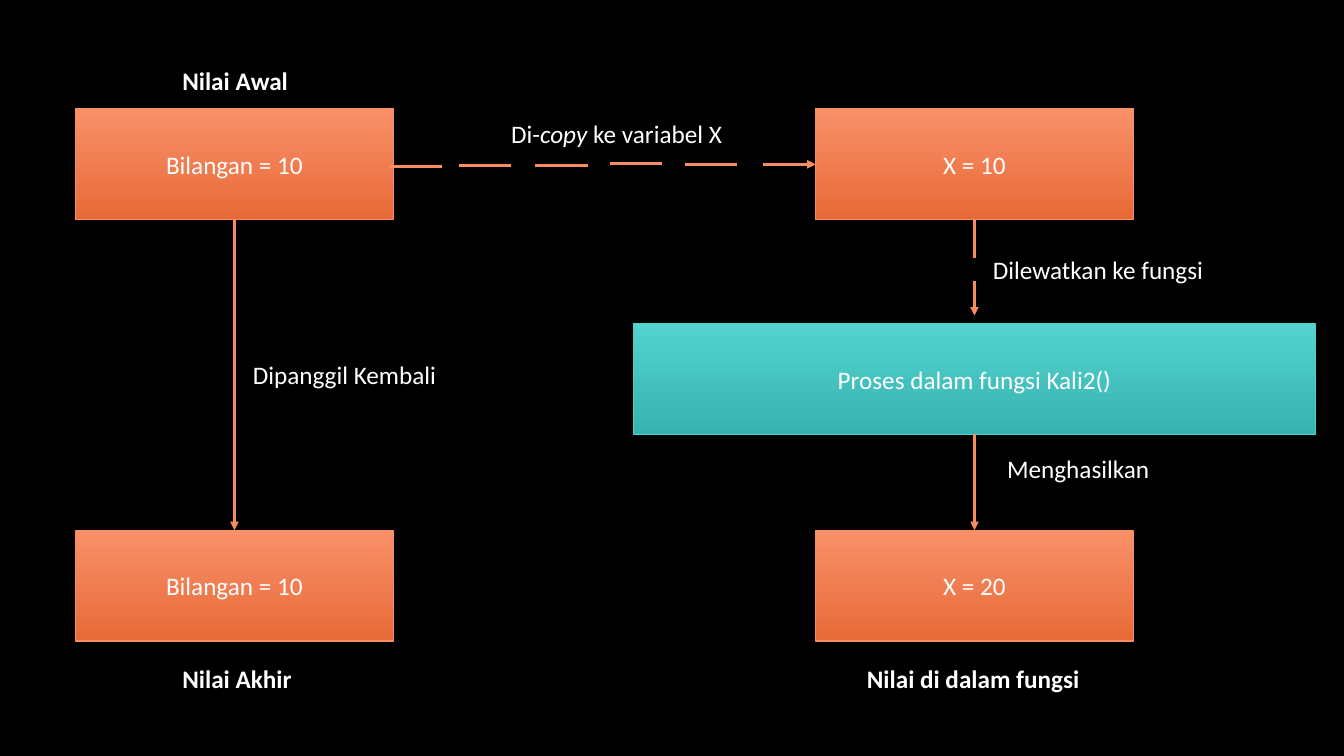
"""Build the flow diagram of passing a value to the function Kali2()."""
from dataclasses import dataclass
from typing import Optional

from lxml.etree import SubElement
from pptx import Presentation
from pptx.dml.color import RGBColor
from pptx.enum.shapes import MSO_CONNECTOR, MSO_SHAPE
from pptx.enum.text import MSO_ANCHOR, MSO_AUTO_SIZE, PP_ALIGN
from pptx.oxml.ns import qn
from pptx.shapes.autoshape import Shape
from pptx.slide import Slide
from pptx.text.text import TextFrame
from pptx.util import Inches, Pt

COLORS = {
    "background": "000000",
    "text": "FFFFFF",
    "orange_top": "F99068",
    "orange_bottom": "E76A39",
    "orange_line": "F98C61",
    "teal_top": "53D2CE",
    "teal_bottom": "37B3B0",
    "teal_line": "49D1CD",
}
TOP, LEFT, BOTTOM = 0, 1, 2
BOX_WIDTH, BOX_HEIGHT = 3.15, 1.1
LABEL_HEIGHT = 0.4
LEFT_COLUMN, RIGHT_COLUMN = 0.75, 8.09
LEFT_CENTER = LEFT_COLUMN + BOX_WIDTH / 2
RIGHT_CENTER = RIGHT_COLUMN + BOX_WIDTH / 2
FIRST_ROW, PROCESS_ROW, LAST_ROW = 1.08, 3.21, 5.26
DASH_LENGTH = 0.52


@dataclass
class Box:
    key: str
    text: str
    left: float
    top: float
    width: float = BOX_WIDTH
    palette: str = "orange"


@dataclass
class Label:
    runs: tuple[str, ...]
    left: float
    top: float
    width: float
    bold: bool = False
    italic_run: Optional[int] = None


@dataclass
class Link:
    start: tuple[float, float]
    end: tuple[float, float]
    begin: Optional[tuple[str, int]] = None
    finish: Optional[tuple[str, int]] = None
    arrow: bool = False


BOXES = [
    Box("initial", "Bilangan = 10", LEFT_COLUMN, FIRST_ROW),
    Box("copied", "X = 10", RIGHT_COLUMN, FIRST_ROW),
    Box("final", "Bilangan = 10", LEFT_COLUMN, LAST_ROW),
    Box("result", "X = 20", RIGHT_COLUMN, LAST_ROW),
    Box("process", "Proses dalam fungsi Kali2()", 6.28, PROCESS_ROW, 6.77, "teal"),
]
COPY_DASHES = [(3.86, 1.65), (4.55, 1.64), (5.31, 1.64), (6.05, 1.62), (6.79, 1.63)]
LINKS = [
    Link((LEFT_CENTER, FIRST_ROW + BOX_HEIGHT), (LEFT_CENTER, LAST_ROW),
         ("initial", BOTTOM), ("final", TOP), True),
    Link((RIGHT_CENTER, PROCESS_ROW + BOX_HEIGHT), (RIGHT_CENTER, LAST_ROW),
         ("process", BOTTOM), ("result", TOP), True),
    Link((7.57, 1.63), (RIGHT_COLUMN, 1.63), finish=("copied", LEFT), arrow=True),
    *(Link((left, top), (left + DASH_LENGTH, top)) for left, top in COPY_DASHES),
    Link((RIGHT_CENTER, FIRST_ROW + BOX_HEIGHT), (RIGHT_CENTER, 2.56), begin=("copied", BOTTOM)),
    Link((RIGHT_CENTER, 2.79), (RIGHT_CENTER, 3.13), arrow=True),
]
LABELS = [
    Label(("Nilai Awal",), 1.71, 0.6, 1.26, bold=True),
    Label(("Nilai Akhir",), 1.71, 6.53, 1.29, bold=True),
    Label(("Dipanggil Kembali",), 2.41, 3.52, 2.04),
    Label(("Dilewatkan ke fungsi",), 9.75, 2.47, 2.31),
    Label(("Menghasilkan",), 9.89, 4.45, 1.63),
    Label(("Nilai di dalam fungsi",), 8.5, 6.53, 2.33, bold=True),
    Label(("Di-", "copy", " ke variabel X"), 4.97, 1.12, 2.32, italic_run=1),
]


def color(name: str) -> RGBColor:
    """Return the named colour."""
    return RGBColor.from_string(COLORS[name])


def write_text(frame: TextFrame, *runs: str, align: PP_ALIGN = PP_ALIGN.LEFT,
               bold: bool = False, italic_run: Optional[int] = None) -> None:
    """Fill the frame with one formatted paragraph."""
    paragraph = frame.paragraphs[0]
    paragraph.alignment = align
    for index, text in enumerate(runs):
        run = paragraph.add_run()
        run.text = text
        run.font.name = "Calibri"
        run.font.size = Pt(18)
        run.font.bold = bold
        run.font.italic = index == italic_run
        run.font.color.rgb = color("text")


def draw_box(slide: Slide, box: Box) -> Shape:
    """Draw a rectangle with a vertical gradient and centred text."""
    shape = slide.shapes.add_shape(
        MSO_SHAPE.RECTANGLE, Inches(box.left), Inches(box.top),
        Inches(box.width), Inches(BOX_HEIGHT))
    shape.shadow.inherit = False
    shape.fill.gradient()
    shape.fill.gradient_angle = 270
    for stop, end in zip(shape.fill.gradient_stops, ("top", "bottom")):
        stop.color.rgb = color(f"{box.palette}_{end}")
    shape.line.color.rgb = color(f"{box.palette}_line")
    shape.line.width = Pt(0.75)
    shape.text_frame.vertical_anchor = MSO_ANCHOR.MIDDLE
    write_text(shape.text_frame, box.text, align=PP_ALIGN.CENTER)
    return shape


def draw_link(slide: Slide, link: Link, shapes: dict[str, Shape]) -> None:
    """Draw a straight connector and join it to its boxes."""
    connector = slide.shapes.add_connector(
        MSO_CONNECTOR.STRAIGHT, *(Inches(value) for value in link.start + link.end))
    if link.begin:
        connector.begin_connect(shapes[link.begin[0]], link.begin[1])
    if link.finish:
        connector.end_connect(shapes[link.finish[0]], link.finish[1])
    connector.line.color.rgb = color("orange_line")
    connector.line.width = Pt(2)
    properties = connector._element.spPr
    if link.arrow:
        SubElement(properties.find(qn("a:ln")), qn("a:tailEnd"), type="triangle")
    SubElement(properties, qn("a:effectLst"))


def draw_label(slide: Slide, label: Label) -> None:
    """Draw a single-line text box."""
    text_box = slide.shapes.add_textbox(
        Inches(label.left), Inches(label.top), Inches(label.width), Inches(LABEL_HEIGHT))
    frame = text_box.text_frame
    frame.word_wrap = False
    frame.auto_size = MSO_AUTO_SIZE.SHAPE_TO_FIT_TEXT
    write_text(frame, *label.runs, bold=label.bold, italic_run=label.italic_run)


def main() -> None:
    """Build and save the presentation."""
    presentation = Presentation()
    presentation.slide_width = Inches(13.33)
    presentation.slide_height = Inches(7.5)
    slide = presentation.slides.add_slide(presentation.slide_layouts[6])
    slide.background.fill.solid()
    slide.background.fill.fore_color.rgb = color("background")
    shapes = {box.key: draw_box(slide, box) for box in BOXES}
    for link in LINKS:
        draw_link(slide, link, shapes)
    for label in LABELS:
        draw_label(slide, label)
    presentation.save("out.pptx")


if __name__ == "__main__":
    main()
